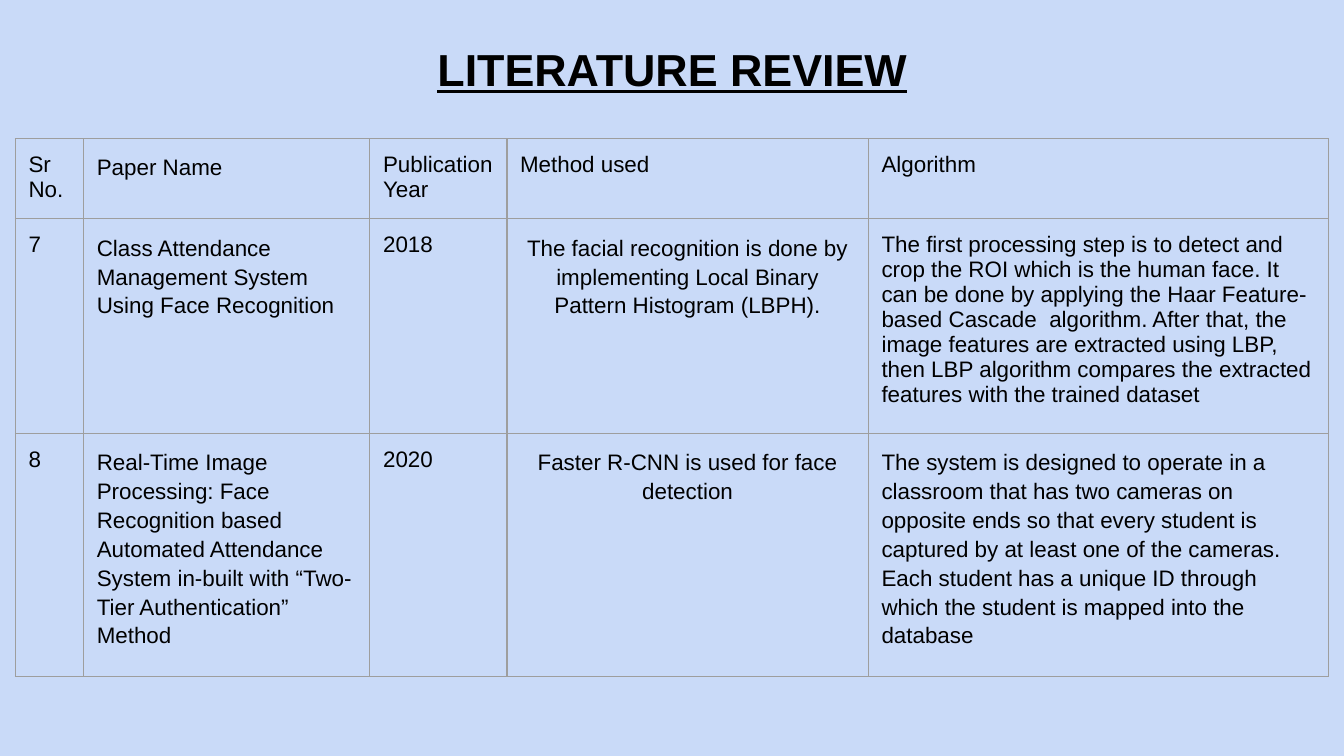
import lxml.etree
import pptx
import pptx.dml.color
import pptx.enum.text
import pptx.oxml.ns
import pptx.util

Cm = pptx.util.Cm
Pt = pptx.util.Pt
qn = pptx.oxml.ns.qn
RGBColor = pptx.dml.color.RGBColor
LEFT = pptx.enum.text.PP_ALIGN.LEFT
CENTER = pptx.enum.text.PP_ALIGN.CENTER
MIDDLE = pptx.enum.text.MSO_ANCHOR.MIDDLE

BACKGROUND = RGBColor(0xC9, 0xDA, 0xF8)
BORDER = RGBColor(0x9E, 0x9E, 0x9E)
BLACK = RGBColor(0, 0, 0)
INSET = Cm(0.25)


def write_text(frame, text, size=12, bold=False, underline=False, align=LEFT, spacing=1.0):
    frame.word_wrap = True
    para = frame.paragraphs[0]
    para.alignment = align
    para.line_spacing = spacing
    span = para.add_run()
    span.text = text
    span.font.name = "Arial"
    span.font.size = Pt(size)
    span.font.bold = bold
    span.font.underline = underline
    span.font.color.rgb = BLACK


def draw_borders(cell):
    properties = cell._tc.get_or_add_tcPr()
    for side in ("a:lnL", "a:lnR", "a:lnT", "a:lnB"):
        line = lxml.etree.SubElement(properties, qn(side), w=str(Pt(0.75)))
        fill = lxml.etree.SubElement(line, qn("a:solidFill"))
        lxml.etree.SubElement(fill, qn("a:srgbClr"), val=str(BORDER))


deck = pptx.Presentation()
deck.slide_width = Cm(25.4)
deck.slide_height = Cm(14.29)
page = deck.slides.add_slide(deck.slide_layouts[6])
page.background.fill.solid()
page.background.fill.fore_color.rgb = BACKGROUND

title_box = page.shapes.add_textbox(Cm(0.87), Cm(0.45), Cm(23.67), Cm(1.7))
title_box.text_frame.vertical_anchor = MIDDLE
write_text(title_box.text_frame, "LITERATURE REVIEW", size=24, bold=True, underline=True, align=CENTER)

column_widths = [1.29, 5.41, 2.59, 6.83, 8.7]
row_heights = [1.45, 3.94, 4.34]
review_rows = [
    ["Sr No.", "Paper Name", "Publication Year", "Method used", "Algorithm"],
    [
        "7",
        "Class Attendance Management System Using Face Recognition",
        "2018",
        "The facial recognition is done by implementing Local Binary Pattern Histogram (LBPH).",
        "The first processing step is to detect and crop the ROI which is the human face. "
        "It can be done by applying the Haar Feature-based Cascade  algorithm. After that, "
        "the image features are extracted using LBP, then LBP algorithm compares the "
        "extracted features with the trained dataset",
    ],
    [
        "8",
        "Real-Time Image Processing: Face Recognition based Automated Attendance System "
        "in-built with “Two-Tier Authentication” Method",
        "2020",
        "Faster R-CNN is used for face detection",
        "The system is designed to operate in a classroom that has two cameras on opposite "
        "ends so that every student is captured by at least one of the cameras. Each student "
        "has a unique ID through which the student is mapped into the database",
    ],
]
centred_cells = {(1, 3), (2, 3)}
loose_cells = {(0, 1), (1, 1), (2, 1), (2, 4)} | centred_cells

table = page.shapes.add_table(
    len(row_heights), len(column_widths),
    Cm(0.29), Cm(2.62), Cm(sum(column_widths)), Cm(sum(row_heights)),
).table
table.first_row = False
table.horz_banding = False
for column, width in zip(table.columns, column_widths):
    column.width = Cm(width)
for row, height in zip(table.rows, row_heights):
    row.height = Cm(height)

for row_index, texts in enumerate(review_rows):
    for column_index, text in enumerate(texts):
        place = (row_index, column_index)
        cell = table.cell(*place)
        cell.margin_left = cell.margin_right = INSET
        cell.margin_top = cell.margin_bottom = INSET
        draw_borders(cell)
        cell.fill.background()
        write_text(
            cell.text_frame, text,
            align=CENTER if place in centred_cells else LEFT,
            spacing=1.15 if place in loose_cells else 1.0,
        )

deck.save("out.pptx")
